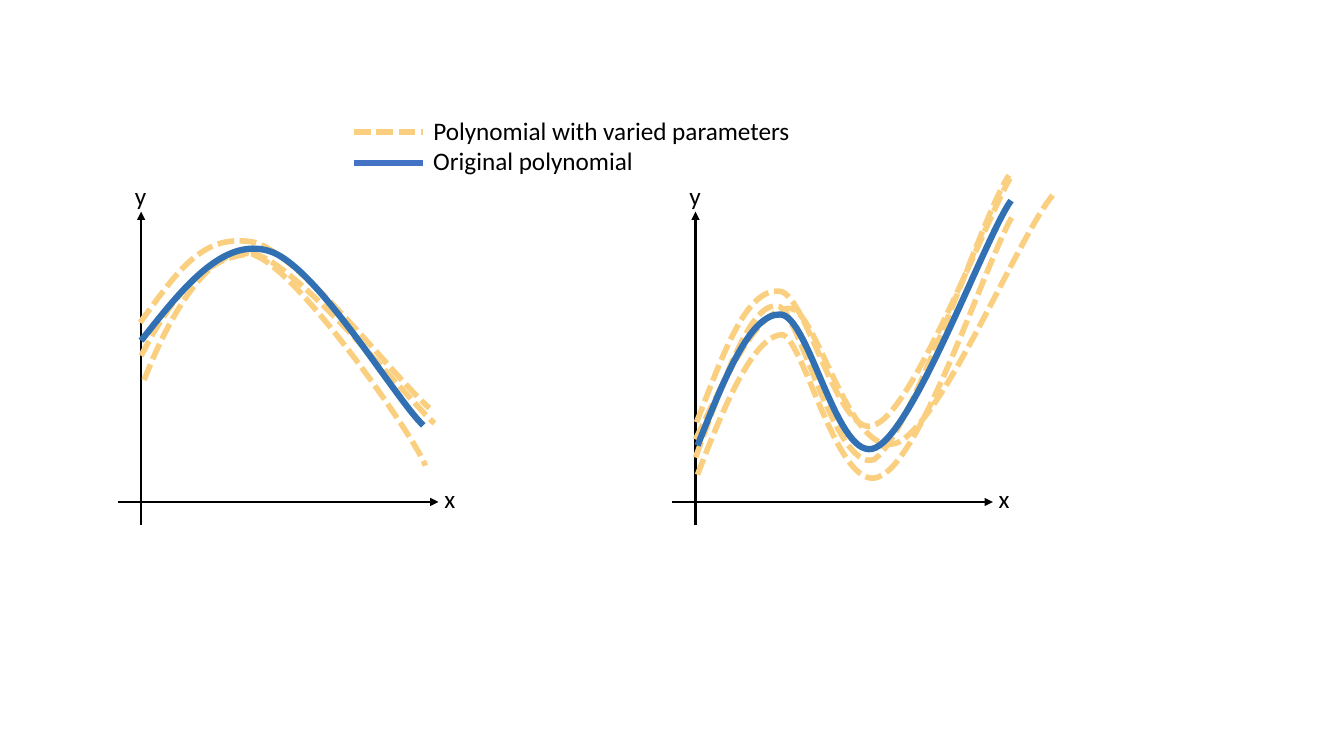
from dataclasses import dataclass

from lxml.etree import SubElement
from pptx import Presentation
from pptx.dml.color import RGBColor
from pptx.enum.dml import MSO_LINE
from pptx.enum.shapes import MSO_CONNECTOR
from pptx.enum.text import MSO_AUTO_SIZE
from pptx.oxml.ns import qn
from pptx.util import Emu, Pt

PX = 9144  # EMU in one px: 100 px to the inch


@dataclass(frozen=True)
class Theme:
    font: str = "Calibri"
    text_size: float = 18
    ink: str = "000000"
    varied: str = "FAD080"
    original: str = "3070B3"
    original_key: str = "4472C4"
    axis_width: float = 1.5
    varied_width: float = 4
    original_width: float = 4.5


# Each curve: start point, then two control points and an end point per segment.
PARABOLA_VARIED = [
    [(143, 377), (174, 297), (216, 240), (252, 253), (297, 268), (414, 438), (422, 462)],
    [(140, 353), (166, 302), (201, 252), (252, 252), (295, 261), (407, 399), (431, 420)],
    [(139, 320), (176, 270), (201, 229), (255, 241), (304, 260), (390, 373), (426, 405)],
]
PARABOLA = [(140, 338), (181, 286), (221, 235), (267, 249), (314, 263), (393, 397), (420, 422)]
CUBIC_VARIED = [
    [(690, 454), (719, 375), (745, 298), (772, 304), (791, 304),
     (829, 469), (867, 456), (905, 431), (976, 209), (1001, 174)],
    [(692, 471), (718, 403), (747, 335), (775, 332), (796, 330),
     (831, 491), (872, 473), (916, 456), (981, 250), (1006, 212)],
    [(690, 436), (720, 374), (751, 306), (783, 306), (810, 303),
     (844, 464), (893, 438), (940, 409), (1012, 231), (1045, 193)],
    [(691, 419), (716, 356), (739, 286), (773, 289), (800, 289),
     (833, 442), (869, 421), (908, 404), (981, 212), (1002, 177)],
]
CUBIC = [(692, 442), (718, 377), (744, 311), (774, 312), (803, 312),
         (831, 463), (869, 444), (908, 425), (978, 234), (1003, 199)]


def extent(values):
    """Return the lowest and highest px reached along one axis of a Bezier chain."""
    reached = []
    for first in range(0, len(values) - 1, 3):
        a, b, c, d = values[first:first + 4]
        for t in (step / 20 for step in range(21)):
            s = 1 - t
            reached.append(a * s**3 + 3 * b * t * s**2 + 3 * c * s * t**2 + d * t**3)
    return round(min(reached)), round(max(reached))


class SlideBuilder:
    def __init__(self, slide, theme):
        self.shapes = slide.shapes.add_group_shape().shapes
        self.theme = theme

    def stroke(self, line, color, width, dashed=False):
        line.color.rgb = RGBColor.from_string(color)
        line.width = Pt(width)
        if dashed:
            line.dash_style = MSO_LINE.SQUARE_DOT

    def line(self, start, end, color, width, dashed=False, arrow=False):
        connector = self.shapes.add_connector(
            MSO_CONNECTOR.STRAIGHT, *(Emu(value * PX) for value in (*start, *end)))
        self.stroke(connector.line, color, width, dashed)
        properties = connector._element.spPr
        if arrow:
            SubElement(properties.find(qn("a:ln")), qn("a:tailEnd"), type="triangle")
        SubElement(properties, qn("a:effectLst"))

    def curve(self, nodes, color, width, dashed=False):
        """Draw a chain of Bezier segments in a box that fits the drawn curve."""
        builder = self.shapes.build_freeform(*nodes[0], scale=PX)
        builder.add_line_segments(nodes[3::3], close=False)
        shape = builder.convert_to_shape()
        (left, right), (top, bottom) = (extent(values) for values in zip(*nodes))
        shape.left, shape.top = Emu(left * PX), Emu(top * PX)
        shape.width, shape.height = Emu((right - left) * PX), Emu((bottom - top) * PX)

        outline = next(shape._element.iter(qn("a:path")))
        outline.set("w", str(right - left))
        outline.set("h", str(bottom - top))
        for command in list(outline):
            outline.remove(command)
        commands = [("a:moveTo", nodes[:1])]
        commands += [("a:cubicBezTo", nodes[first:first + 3])
                     for first in range(1, len(nodes), 3)]
        for tag, points in commands:
            command = SubElement(outline, qn(tag))
            for x, y in points:
                SubElement(command, qn("a:pt"), x=str(x - left), y=str(y - top))

        shape.shadow.inherit = False
        shape.fill.background()
        self.stroke(shape.line, color, width, dashed)

    def label(self, text, left, top, width, height=40):
        box = self.shapes.add_textbox(
            *(Emu(value * PX) for value in (left, top, width, height)))
        frame = box.text_frame
        frame.word_wrap = False
        frame.auto_size = MSO_AUTO_SIZE.SHAPE_TO_FIT_TEXT
        paragraph = frame.paragraphs[0]
        paragraph.text = text
        paragraph.font.name = self.theme.font
        paragraph.font.size = Pt(self.theme.text_size)
        paragraph.font.color.rgb = RGBColor.from_string(self.theme.ink)

    def plot(self, origin_x, varied_curves, original_curve):
        """Draw labelled axes, the varied curves and the original on top."""
        theme = self.theme
        axis_y = 498
        for start, end in (((origin_x, 521), (origin_x, 210)),
                           ((origin_x - 23, axis_y), (origin_x + 295, axis_y))):
            self.line(start, end, theme.ink, theme.axis_width, arrow=True)
        for nodes in varied_curves:
            self.curve(nodes, theme.varied, theme.varied_width, dashed=True)
        self.curve(original_curve, theme.original, theme.original_width)
        self.label("x", origin_x + 291, axis_y - 23, 31)
        self.label("y", origin_x - 16, 174, 32)

    def legend_entry(self, text, line_y, text_top, text_width, color, line_width, dashed=False):
        self.line((351, line_y), (420, line_y), color, line_width, dashed)
        self.label(text, 420, text_top, text_width)


def main():
    presentation = Presentation()
    presentation.slide_width = Emu(12192000)
    presentation.slide_height = Emu(750 * PX)
    slide = presentation.slides.add_slide(presentation.slide_layouts[6])
    theme = Theme()
    builder = SlideBuilder(slide, theme)

    builder.plot(140, PARABOLA_VARIED, PARABOLA)
    builder.plot(690, CUBIC_VARIED, CUBIC)
    builder.legend_entry("Polynomial with varied parameters", 131, 109, 378,
                         theme.varied, theme.varied_width, dashed=True)
    builder.legend_entry("Original polynomial", 162, 139, 220,
                         theme.original_key, theme.original_width)

    presentation.save("out.pptx")


if __name__ == "__main__":
    main()
